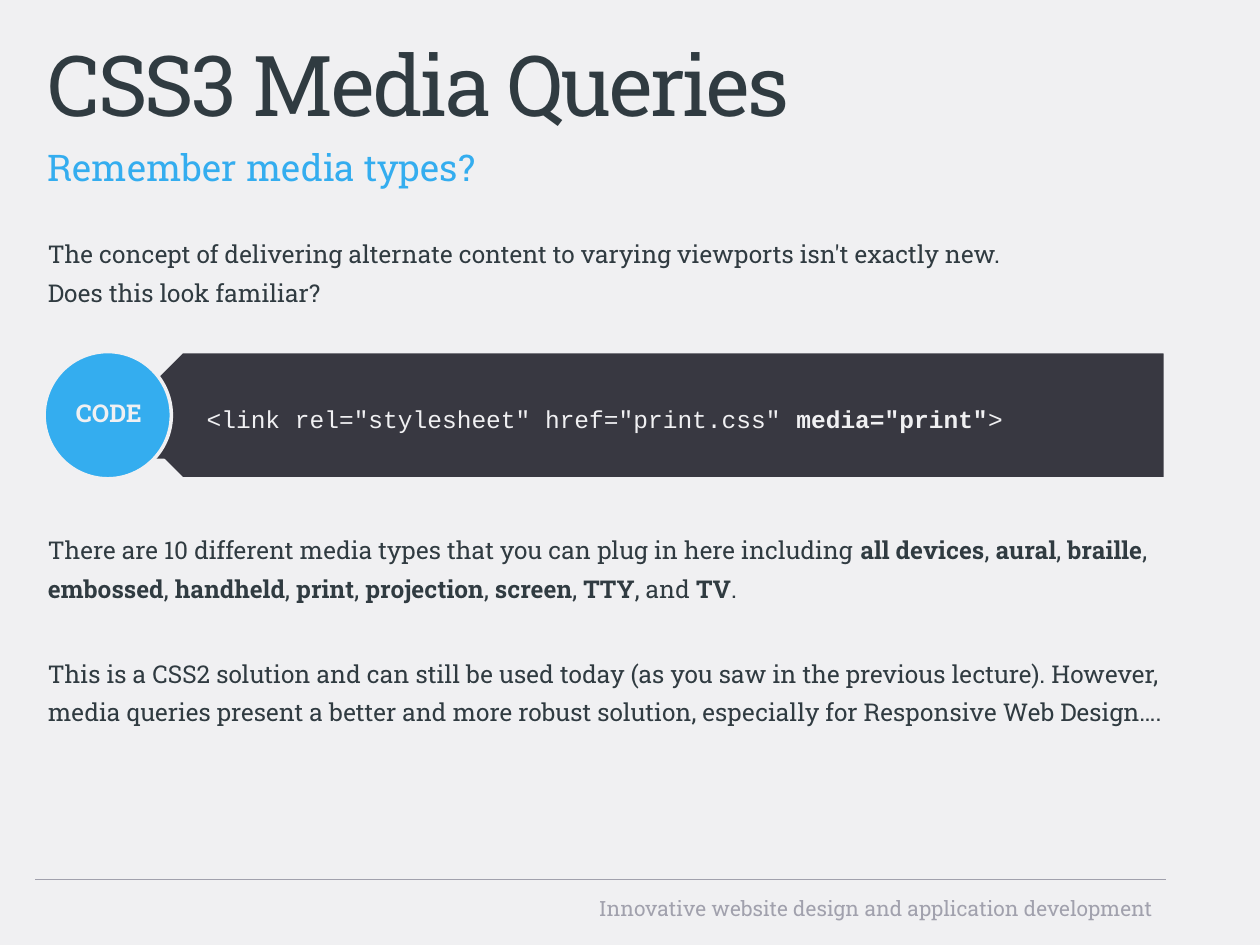
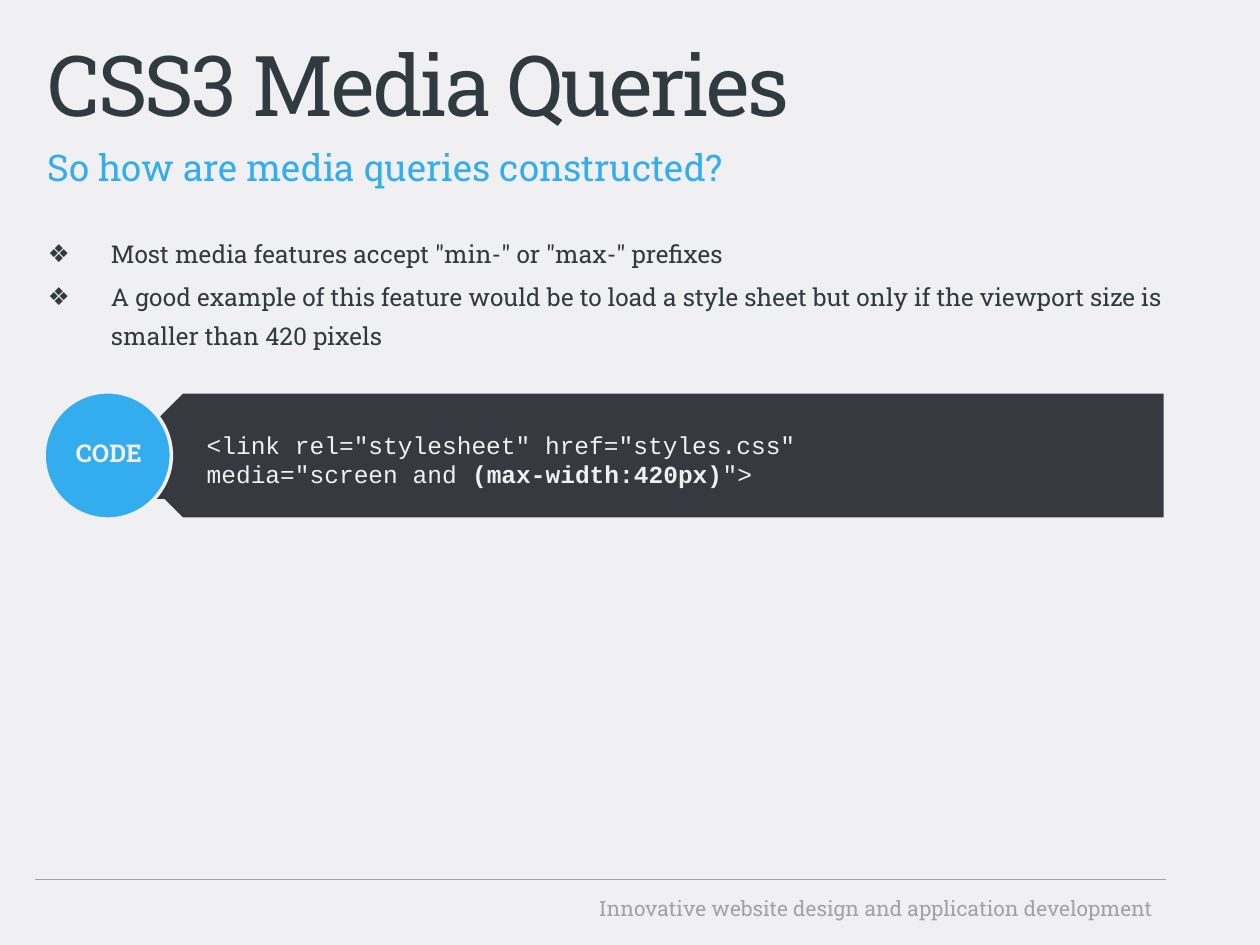
from lxml.etree import SubElement
from pptx import Presentation
from pptx.dml.color import RGBColor
from pptx.enum.shapes import MSO_CONNECTOR, MSO_SHAPE
from pptx.enum.text import MSO_ANCHOR, MSO_AUTO_SIZE, PP_ALIGN
from pptx.oxml.ns import qn
from pptx.util import Inches, Pt

COLORS = {
    "background": "F0F0F2",
    "ink": "303B41",
    "accent": "34ADEF",
    "panel": "383841",
    "muted": "A1A1AD",
}
LEFT, RIGHT = 0.28, 9.25
FOOTER = "Innovative website design and application development"


def color(name):
    """Return the named colour of the palette."""
    return RGBColor.from_string(COLORS[name])


def box(left, top, width, height):
    """Convert a box in inches to lengths."""
    return [Inches(value) for value in (left, top, width, height)]


class Deck:
    """Holds the presentation style and the slide being built."""

    TEXT_FONT = "Roboto Slab"
    CODE_FONT = "Courier New"
    LINE_SPACING = 1.3
    BADGE = 1.01

    def __init__(self):
        """Open the template and set size and background."""
        self.presentation = Presentation()
        self.presentation.slide_width = Inches(10)
        self.presentation.slide_height = Inches(7.5)
        fill = self.presentation.slide_master.background.fill
        fill.solid()
        fill.fore_color.rgb = color("background")
        self.layout = self.presentation.slide_layouts.get_by_name("Two Content")
        self.slide = None

    def add_slide(self, title, subtitle):
        """Start a slide with its footer, title and subtitle."""
        self.slide = self.presentation.slides.add_slide(self.layout)
        self.footer()
        frame = self.placeholder(0, LEFT, 0.21, 8.82, 0.79)
        paragraph = frame.paragraphs[0]
        self.fill_text(paragraph, title, 48, "ink")
        paragraph.alignment = PP_ALIGN.LEFT
        paragraph.runs[0]._r.get_or_add_rPr().set("spc", "-150")
        frame = self.placeholder(2, LEFT, 0.99, 8.82, 0.39)
        self.body_paragraph(frame.paragraphs[0], subtitle, 21, "accent", 4.2)

    def placeholder(self, index, *place):
        """Move a template placeholder and return its text frame."""
        shape = self.slide.placeholders[index]
        shape.left, shape.top, shape.width, shape.height = box(*place)
        frame = shape.text_frame
        frame.auto_size = MSO_AUTO_SIZE.NONE
        frame.vertical_anchor = MSO_ANCHOR.TOP
        return frame

    def fill_text(self, paragraph, text, size, ink, font=TEXT_FONT, bold=False):
        """Fill a paragraph; ** toggles bold and a newline breaks the line."""
        paragraph.font.name = font
        paragraph.font.size = Pt(size)
        paragraph.font.bold = bold
        paragraph.font.color.rgb = color(ink)
        for position, part in enumerate(text.split("**")):
            for number, line in enumerate(part.split("\n")):
                if number:
                    paragraph.add_line_break()
                if line:
                    run = paragraph.add_run()
                    run.text = line
                    if position % 2:
                        run.font.bold = True

    def body_paragraph(self, paragraph, text, size, ink, before, bullet=None):
        """Fill a spaced paragraph, with a hanging bullet if one is given."""
        paragraph.line_spacing = self.LINE_SPACING
        paragraph.space_before = Pt(before)
        indent = Inches(0.5) if bullet else 0
        properties = paragraph._p.get_or_add_pPr()
        properties.set("marL", str(indent))
        properties.set("indent", str(-indent))
        if bullet:
            SubElement(properties, qn("a:buChar")).set("char", bullet)
        else:
            SubElement(properties, qn("a:buNone"))
        self.fill_text(paragraph, text, size, ink)

    def body(self, items, bullet=None):
        """Fill the body with (text, points of space before) items."""
        frame = self.placeholder(1, LEFT, 1.78, 9.21, 5.12)
        for number, (text, before) in enumerate(items):
            paragraph = frame.add_paragraph() if number else frame.paragraphs[0]
            self.body_paragraph(paragraph, text, 14, "ink", before, bullet)

    def shape(self, shapes, kind, place, fill, outlined=True):
        """Add a flat filled shape to a shape collection."""
        shape = shapes.add_shape(kind, *box(*place))
        shape.shadow.inherit = False
        shape.fill.solid()
        shape.fill.fore_color.rgb = color(fill)
        if outlined:
            shape.line.color.rgb = color("background")
            shape.line.width = Pt(2)
        else:
            shape.line.fill.background()
        return shape

    def text_box(self, place, text, size, ink, alignment, bold=False):
        """Add a wrapping one-paragraph text box."""
        frame = self.slide.shapes.add_textbox(*box(*place)).text_frame
        frame.word_wrap = True
        paragraph = frame.paragraphs[0]
        paragraph.alignment = alignment
        self.fill_text(paragraph, text, size, ink, bold=bold)

    def code(self, top, text):
        """Add a code panel with its round badge."""
        shapes = self.slide.shapes
        group = shapes.add_group_shape().shapes
        arrow = self.shape(group, MSO_SHAPE.PENTAGON,
                           (0.94, top, RIGHT - 0.94, self.BADGE), "panel")
        arrow.rotation = 180
        panel = self.shape(group, MSO_SHAPE.RECTANGLE,
                           (1.19, top + 0.22, 7.82, 0.63), "panel", outlined=False)
        frame = panel.text_frame
        frame.word_wrap = True
        frame.vertical_anchor = MSO_ANCHOR.MIDDLE
        frame.margin_left, frame.margin_right = Inches(0.45), Inches(0.11)
        frame.margin_top = frame.margin_bottom = Inches(0.06)
        paragraph = frame.paragraphs[0]
        paragraph.alignment = PP_ALIGN.LEFT
        self.fill_text(paragraph, text, 14, "background", self.CODE_FONT)
        self.shape(shapes, MSO_SHAPE.OVAL,
                   (0.35, top, self.BADGE, self.BADGE), "accent")
        self.text_box((0.43, top + 0.32, 0.87, 0.34), "CODE", 14,
                      "background", PP_ALIGN.CENTER, bold=True)

    def footer(self):
        """Add the footer rule and its text."""
        self.text_box((4.45, 7.06, 4.8, 0.31), FOOTER, 12, "muted", PP_ALIGN.RIGHT)
        rule = self.slide.shapes.add_connector(
            MSO_CONNECTOR.STRAIGHT, Inches(LEFT), Inches(6.98),
            Inches(RIGHT), Inches(6.98))
        rule.line.color.rgb = color("muted")
        rule.line.width = Pt(0.75)
        SubElement(rule._element.spPr, qn("a:effectLst"))


def media_types_slide(deck):
    """Build the slide that recalls media types."""
    deck.add_slide("CSS3 Media Queries", "Remember media types?")
    deck.body([
        ("The concept of delivering alternate content to varying viewports "
         "isn't exactly new.\nDoes this look familiar?", 2.8),
        ("There are 10 different media types that you can plug in here including "
         "**all devices**, **aural**, **braille**, **embossed**, **handheld**, "
         "**print**, **projection**, **screen**, **TTY**, and **TV**.", 125.5),
        ("This is a CSS2 solution and can still be used today (as you saw in the "
         "previous lecture). However, media queries present a better and more "
         "robust solution, especially for Responsive Web Design….", 27),
    ])
    deck.code(2.79, '<link rel="stylesheet" href="print.css" **media="print"**>')


def construction_slide(deck):
    """Build the slide on how media queries are constructed."""
    deck.add_slide("CSS3 Media Queries", "So how are media queries constructed?")
    deck.body([
        ('Most media features accept "min-" or "max-" prefixes', 2.8),
        ("A good example of this feature would be to load a style sheet but only "
         "if the viewport size is smaller than 420 pixels", 2.8),
    ], bullet="❖")
    deck.code(3.11, '<link rel="stylesheet" href="styles.css"\n'
                    'media="screen and **(max-width:420px)**">')


deck = Deck()
media_types_slide(deck)
construction_slide(deck)
deck.presentation.save("out.pptx")
